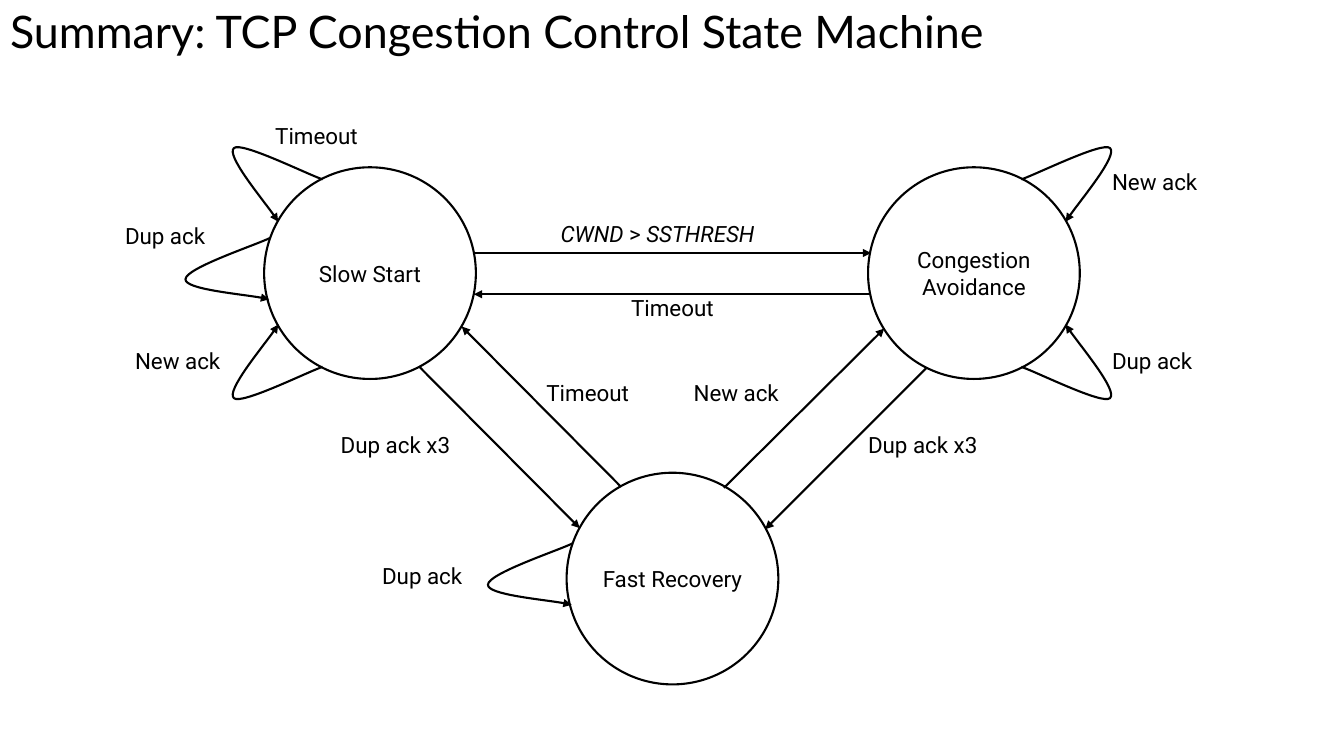
from lxml import etree
from pptx import Presentation
from pptx.dml.color import RGBColor
from pptx.enum import shapes, text
from pptx.oxml.ns import qn
from pptx.util import Inches, Pt

COLORS = {"ink": "000000"}
TITLE = "Summary: TCP Congestion Control State Machine"
RADIUS = 1.05

STATES = {  # name: centre
    "Slow Start": (3.67, 2.71),
    "Congestion Avoidance": (9.66, 2.71),
    "Fast Recovery": (6.67, 5.74),
}

# Bézier points of a loop, as offsets from the centre of its state
CORNER_LOOP = [(-0.47, -0.93), (-0.62, -0.98), (-1.28, -1.31), (-1.35, -1.24),
               (-1.43, -1.17), (-0.98, -0.63), (-0.91, -0.51)]
SIDE_LOOP = [(-0.99, -0.35), (-1.13, -0.28), (-1.83, -0.05), (-1.83, 0.06),
             (-1.84, 0.16), (-1.14, 0.22), (-1.0, 0.26)]
LOOPS = [  # state, outline, horizontal and vertical direction
    ("Slow Start", CORNER_LOOP, 1, 1),
    ("Slow Start", SIDE_LOOP, 1, 1),
    ("Slow Start", CORNER_LOOP, 1, -1),
    ("Congestion Avoidance", CORNER_LOOP, -1, 1),
    ("Congestion Avoidance", CORNER_LOOP, -1, -1),
    ("Fast Recovery", SIDE_LOOP, 1, 1),
]

TRANSITIONS = [  # start, end
    ((6.16, 4.83), (4.58, 3.24)),
    ((4.16, 3.64), (5.75, 5.24)),
    ((7.18, 4.84), (8.77, 3.26)),
    ((9.19, 3.65), (7.59, 5.25)),
    ((4.7, 2.51), (8.64, 2.51)),
    ((8.64, 2.92), (4.7, 2.92)),
]

LABELS = [  # left, top, width, runs as (text, italic)
    (2.73, 1.21, 1.06, [("Timeout", False)]),
    (1.24, 2.2, 1.06, [("Dup ack", False)]),
    (1.34, 3.44, 1.06, [("New ack", False)]),
    (3.38, 4.28, 1.34, [("Dup ack x3", False)]),
    (8.61, 4.28, 1.34, [("Dup ack x3", False)]),
    (5.42, 3.76, 1.06, [("Timeout", False)]),
    (6.88, 3.76, 1.06, [("New ack", False)]),
    (11.03, 3.44, 1.06, [("Dup ack", False)]),
    (11.03, 1.67, 1.06, [("New ack", False)]),
    (3.79, 5.58, 1.06, [("Dup ack", False)]),
    (5.56, 2.18, 2.47, [("CWND", True), (" > ", False), ("SSTHRESH", True)]),
    (6.26, 2.92, 1.06, [("Timeout", False)]),
]


def style_font(font, name, size):
    font.name = name
    font.size = Pt(size)
    font.color.rgb = RGBColor.from_string(COLORS["ink"])


def set_margins(frame, inches):
    frame.margin_left = frame.margin_right = Inches(inches)
    frame.margin_top = frame.margin_bottom = Inches(inches)


def style_line(shape, arrow=False):
    shape.line.color.rgb = RGBColor.from_string(COLORS["ink"])
    shape.line.width = Pt(1.5)
    if arrow:
        outline = shape.element.spPr.find(qn("a:ln"))
        etree.SubElement(outline, qn("a:tailEnd"), type="triangle")


def add_title(page):
    title = page.shapes.title
    title.left, title.top = Inches(0), Inches(0)
    title.width, title.height = Inches(13.33), Inches(0.9)
    frame = title.text_frame
    frame.text = TITLE
    frame.auto_size = text.MSO_AUTO_SIZE.NONE
    frame.vertical_anchor = text.MSO_ANCHOR.TOP
    set_margins(frame, 0.1)
    para = frame.paragraphs[0]
    para.alignment = text.PP_ALIGN.LEFT
    para.line_spacing = 0.9
    style_font(para.font, "Lato", 32)


def add_state(page, name, x, y):
    circle = page.shapes.add_shape(
        shapes.MSO_SHAPE.OVAL, Inches(x - RADIUS), Inches(y - RADIUS),
        Inches(2 * RADIUS), Inches(2 * RADIUS))
    circle.shadow.inherit = False
    circle.fill.background()
    style_line(circle)
    frame = circle.text_frame
    frame.text = name
    frame.word_wrap = True
    frame.vertical_anchor = text.MSO_ANCHOR.MIDDLE
    set_margins(frame, 0)
    para = frame.paragraphs[0]
    para.alignment = text.PP_ALIGN.CENTER
    style_font(para.font, "Roboto", 16)


def add_loop(page, points):
    """Draw a curve: each three points after the first make one Bézier segment."""
    corners = [(Inches(x), Inches(y)) for x, y in points]
    builder = page.shapes.build_freeform(*corners[0])
    builder.add_line_segments(corners[1:], close=False)
    loop = builder.convert_to_shape()
    segments = list(loop.element.iter(qn("a:lnTo")))
    for first in range(0, len(segments), 3):
        curve = etree.Element(qn("a:cubicBezTo"))
        segments[first].addprevious(curve)
        for segment in segments[first:first + 3]:
            curve.append(segment[0])
            segment.getparent().remove(segment)
    loop.shadow.inherit = False
    loop.fill.background()
    style_line(loop, arrow=True)


def add_transition(page, start, end):
    arrow = page.shapes.add_connector(
        shapes.MSO_CONNECTOR.STRAIGHT, *(Inches(value) for value in start + end))
    style_line(arrow, arrow=True)
    etree.SubElement(arrow.element.spPr, qn("a:effectLst"))


def add_label(page, left, top, width, runs):
    box = page.shapes.add_textbox(
        Inches(left), Inches(top), Inches(width), Inches(0.33))
    frame = box.text_frame
    frame.word_wrap = True
    set_margins(frame, 0)
    para = frame.paragraphs[0]
    style_font(para.font, "Roboto", 16)
    for words, italic in runs:
        span = para.add_run()
        span.text = words
        style_font(span.font, "Roboto", 16)
        span.font.italic = italic


def main():
    deck = Presentation()
    deck.slide_width, deck.slide_height = Inches(13.33), Inches(7.5)
    page = deck.slides.add_slide(deck.slide_layouts[5])
    add_title(page)
    for name, (x, y) in STATES.items():
        add_state(page, name, x, y)
    for name, outline, across, down in LOOPS:
        x, y = STATES[name]
        add_loop(page, [(x + across * dx, y + down * dy) for dx, dy in outline])
    for start, end in TRANSITIONS:
        add_transition(page, start, end)
    for label in LABELS:
        add_label(page, *label)
    deck.save("out.pptx")


if __name__ == "__main__":
    main()
